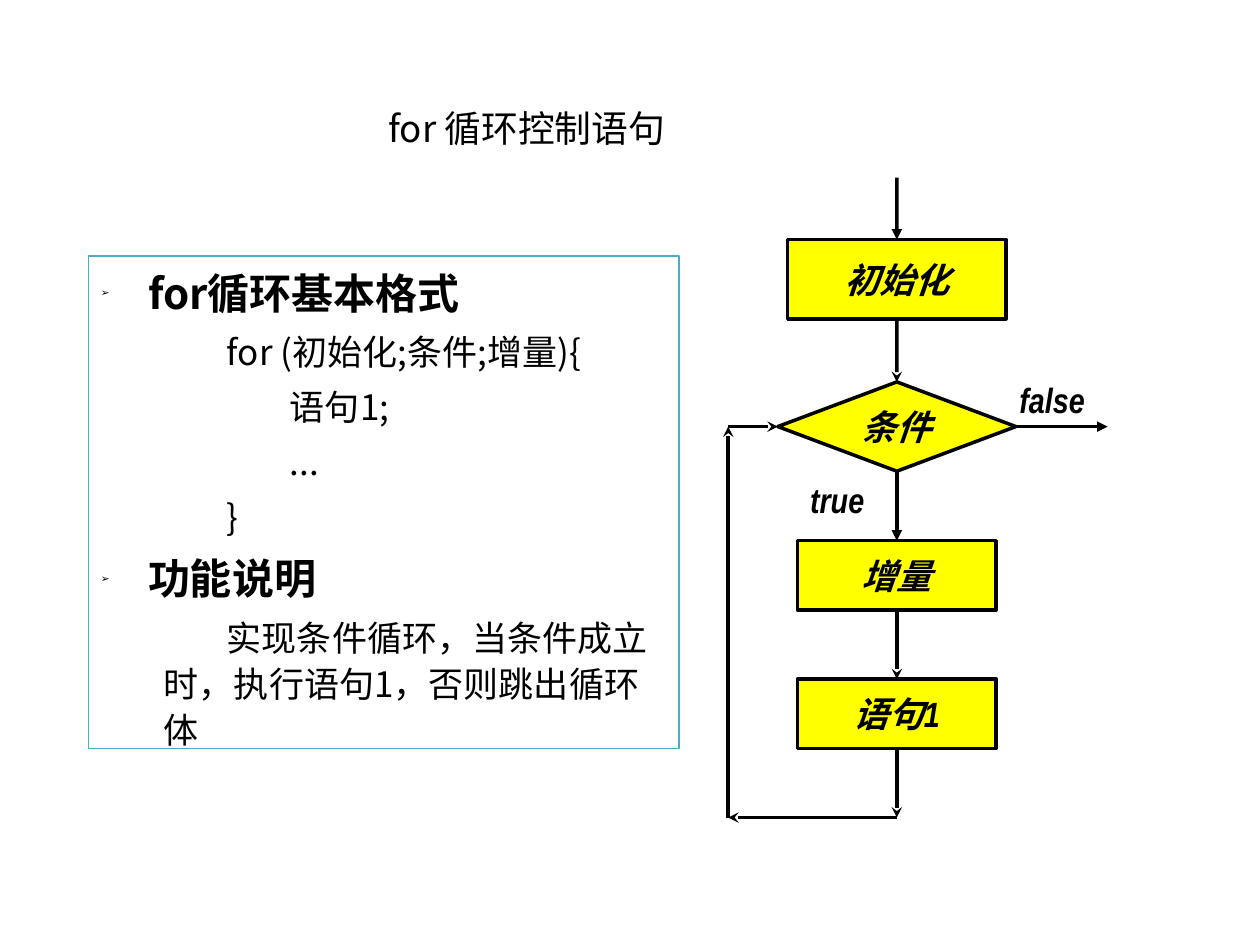
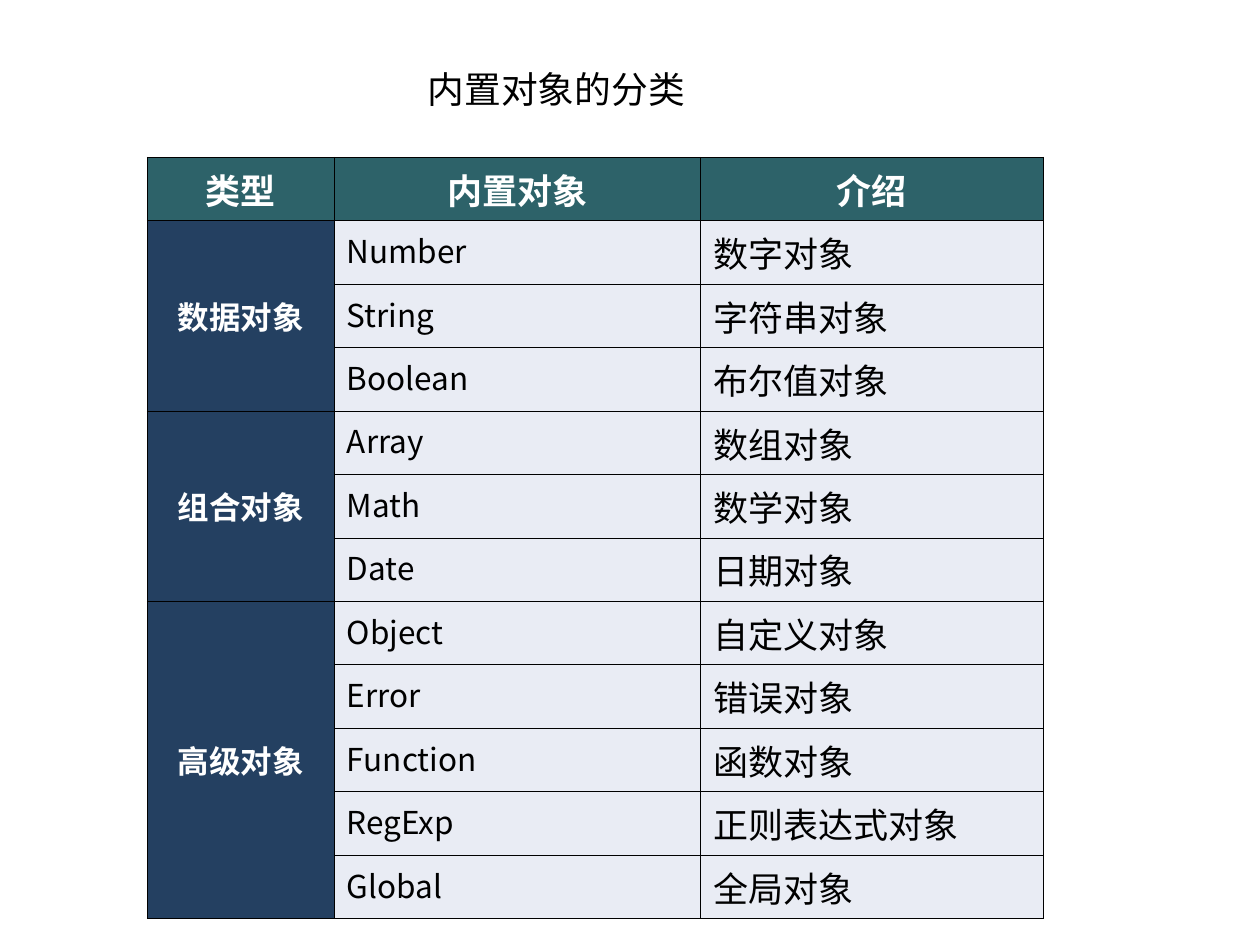
from lxml import etree
from pptx import Presentation
from pptx.dml.color import RGBColor
from pptx.enum.shapes import MSO_CONNECTOR, MSO_SHAPE
from pptx.enum.text import MSO_ANCHOR, MSO_AUTO_SIZE, PP_ALIGN
from pptx.oxml.ns import qn
from pptx.util import Cm, Pt

RECT, STEP, TEST = (MSO_SHAPE.RECTANGLE, MSO_SHAPE.FLOWCHART_PROCESS,
                    MSO_SHAPE.FLOWCHART_DECISION)
LINE = MSO_CONNECTOR.STRAIGHT
LEFT, CENTER = PP_ALIGN.LEFT, PP_ALIGN.CENTER
TOP, MIDDLE = MSO_ANCHOR.TOP, MSO_ANCHOR.MIDDLE
NO_FIT = MSO_AUTO_SIZE.NONE

COLORS = {"ink": "000000", "paper": "FFFFFF", "frame": "4BACC6", "box": "FFFF00",
          "head": "2D6269", "group": "244061", "cell": "E9ECF4"}
SANS, NARROW, ARIAL = "Noto Sans CJK SC", "Arial Narrow", "Arial"

# Slide 1: (kind, text); kinds are set out in STYLES
NOTES = [
    ("head", "for循环基本格式"),
    ("text", "for (初始化;条件;增量){"),
    ("inner", "语句1;"),
    ("inner", "..."),
    ("text", "}"),
    ("head", "功能说明"),
    ("text", "实现条件循环，当条件成立时，执行语句1，否则跳出循环体"),
]
# level, left margin and first indent in cm, space before, size, bold
STYLES = {
    "head": (0, 0.95, -0.95, 6, 24, True),
    "text": (1, 1.27, 1.27, 5, 20, False),
    "inner": (1, 1.27, 2.54, 5, 20, False),
}

AXIS, BACK, TURN = 18.08, 14.68, 16.48  # main axis, return line, lowest line
TEST_Y = 8.6
# name: (shape, text, top, width, height), all centred on the axis
BOXES = {
    "init": (RECT, "初始化", 4.83, 4.4, 1.6),
    "test": (TEST, "条件", 7.7, 4.8, 1.8),
    "step": (STEP, "增量", 10.9, 4, 1.4),
    "body": (STEP, "语句1", 13.69, 4, 1.4),
}
# an end is a point or (box name, side)
ARROWS = [
    ((AXIS, 3.58), ("init", 0), "triangle"),
    (("init", 2), ("test", 0), "stealth"),
    (("test", 3), (22.33, TEST_Y), "triangle"),
    (("test", 2), ("step", 0), "triangle"),
    (("step", 2), ("body", 0), "stealth"),
    (("body", 2), (AXIS, TURN), "stealth"),
    ((AXIS, TURN), (BACK, TURN), "stealth"),
    ((BACK, TURN), (BACK, TEST_Y), "stealth"),
    ((BACK, TEST_Y), ("test", 1), "stealth"),
]
LABELS = [("false", 20.3, 7.5), ("true", 16.08, 9.53)]

# Slide 2
HEADS = ["类型", "内置对象", "介绍"]
WIDTHS = [3.77, 7.38, 6.91]
GROUPS = {
    "数据对象": [("Number", "数字对象"), ("String", "字符串对象"),
             ("Boolean", "布尔值对象")],
    "组合对象": [("Array", "数组对象"), ("Math", "数学对象"), ("Date", "日期对象")],
    "高级对象": [("Object", "自定义对象"), ("Error", "错误对象"),
             ("Function", "函数对象"), ("RegExp", "正则表达式对象"),
             ("Global", "全局对象")],
}
ROW = 1.1


def rgb(name):
    return RGBColor.from_string(COLORS[name])


def cms(*nums):
    return [Cm(num) for num in nums]


def add(parent, tag, **attrs):
    return etree.SubElement(parent, qn(tag), attrs)


def style(par, size, color="ink", font=SANS, bold=False, italic=False):
    for run in par.runs:
        face = run.font
        face.size, face.bold, face.italic = Pt(size), bold, italic
        face.color.rgb = rgb(color)
        face.name = font
        add(run._r.get_or_add_rPr(), "a:ea", typeface=SANS)


def place(shape, *spot):
    shape.left, shape.top, shape.width, shape.height = cms(*spot)


def new_slide(deck, layout, title, *spot):
    slide = deck.slides.add_slide(deck.slide_layouts[layout])
    place(slide.shapes.title, *spot)
    frame = slide.shapes.title.text_frame
    frame.text = title
    frame.auto_size, frame.vertical_anchor = NO_FIT, MIDDLE
    frame.paragraphs[0].alignment = CENTER
    style(frame.paragraphs[0], 21)
    return slide


def fill_notes(shape):
    place(shape, 1.78, 5.16, 11.91, 9.93)
    shape.fill.solid()
    shape.fill.fore_color.rgb = rgb("paper")
    shape.line.color.rgb = rgb("frame")
    shape.line.width = Pt(0.75)
    frame = shape.text_frame
    frame.text = "\n".join(text for _, text in NOTES)
    frame.auto_size, frame.vertical_anchor = NO_FIT, TOP
    for num, (par, (kind, _)) in enumerate(zip(frame.paragraphs, NOTES)):
        level, margin, indent, gap, size, bold = STYLES[kind]
        par.level = level
        props = par._p.get_or_add_pPr()
        props.set("marL", str(Cm(margin)))
        props.set("indent", str(Cm(indent)))
        if kind == "head":
            add(add(props, "a:buClr"), "a:srgbClr", val=COLORS["ink"])
            add(props, "a:buSzPct", val="25000")
            add(props, "a:buFont", typeface=SANS)
            add(props, "a:buChar", char="➢")
        else:
            add(props, "a:buNone")
        par.line_spacing = 1.1
        par.space_before = Pt(gap if num else 0)
        style(par, size, bold=bold)


def flow_text(shape, text, align):
    frame = shape.text_frame
    frame.text = text
    frame.word_wrap = False
    frame.paragraphs[0].alignment = align
    style(frame.paragraphs[0], 20, font=NARROW, bold=True, italic=True)
    return frame


def add_box(slide, kind, text, top, width, height):
    box = slide.shapes.add_shape(kind, *cms(AXIS - width / 2, top, width, height))
    box.shadow.inherit = False
    box.fill.solid()
    box.fill.fore_color.rgb = rgb("box")
    box.line.color.rgb = rgb("ink")
    box.line.width = Pt(2)
    flow_text(box, text, CENTER).vertical_anchor = MIDDLE
    return box


def add_arrow(slide, boxes, start, end, tip):
    link = slide.shapes.add_connector(LINE, 0, 0, 0, 0)
    if start[0] in boxes:
        link.begin_connect(boxes[start[0]], start[1])
    else:
        link.begin_x, link.begin_y = cms(*start)
    if end[0] in boxes:
        link.end_connect(boxes[end[0]], end[1])
    else:
        link.end_x, link.end_y = cms(*end)
    link.line.color.rgb = rgb("ink")
    link.line.width = Pt(2)
    props = link._element.spPr
    add(props.find(qn("a:ln")), "a:tailEnd", type=tip)
    add(props, "a:effectLst")


def add_flow(slide):
    boxes = {name: add_box(slide, *parts) for name, parts in BOXES.items()}
    for arrow in ARROWS:
        add_arrow(slide, boxes, *arrow)
    for text, left, top in LABELS:
        flow_text(slide.shapes.add_textbox(*cms(left, top, 2, 1.1)), text, LEFT)


def set_cell(cell, text, fill, size, align=LEFT, anchor=TOP, **look):
    cell.text = text
    cell.vertical_anchor = anchor
    par = cell.text_frame.paragraphs[0]
    par.alignment = align
    style(par, size, **look)
    props = cell._tc.get_or_add_tcPr()
    for side in "LRTB":
        edge = add(props, f"a:ln{side}", w=str(Pt(0.45)))
        add(add(edge, "a:solidFill"), "a:srgbClr", val=COLORS["ink"])
    cell.fill.solid()
    cell.fill.fore_color.rgb = rgb(fill)


def add_grid(slide):
    count = 1 + sum(map(len, GROUPS.values()))
    grid = slide.shapes.add_table(
        count, len(HEADS), *cms(2.97, 3.17, sum(WIDTHS), count * ROW)).table
    grid.first_row = grid.horz_banding = False
    for col, width in zip(grid.columns, WIDTHS):
        col.width = Cm(width)
    for row in grid.rows:
        row.height = Cm(ROW)
    white = {"align": CENTER, "color": "paper", "bold": True}
    for col, text in enumerate(HEADS):
        set_cell(grid.cell(0, col), text, "head", 20, **white)
    top = 1
    for group, items in GROUPS.items():
        for row, (name, note) in enumerate(items, top):
            set_cell(grid.cell(row, 0), group if row == top else "", "group", 18,
                     anchor=MIDDLE, font=ARIAL, **white)
            set_cell(grid.cell(row, 1), name, "cell", 18)
            set_cell(grid.cell(row, 2), note, "cell", 20)
        grid.cell(top, 0).merge(grid.cell(row, 0))
        top += len(items)


def main():
    deck = Presentation()
    deck.slide_width, deck.slide_height = cms(25.4, 19.05)
    loop = new_slide(deck, 1, "for 循环控制语句", 5.16, 1.98, 10.92, 1.2)
    fill_notes(loop.placeholders[1])
    add_flow(loop)
    kinds = new_slide(deck, 5, "内置对象的分类", 2.39, 1.2, 17.65, 1.2)
    add_grid(kinds)
    deck.save("out.pptx")


if __name__ == "__main__":
    main()
